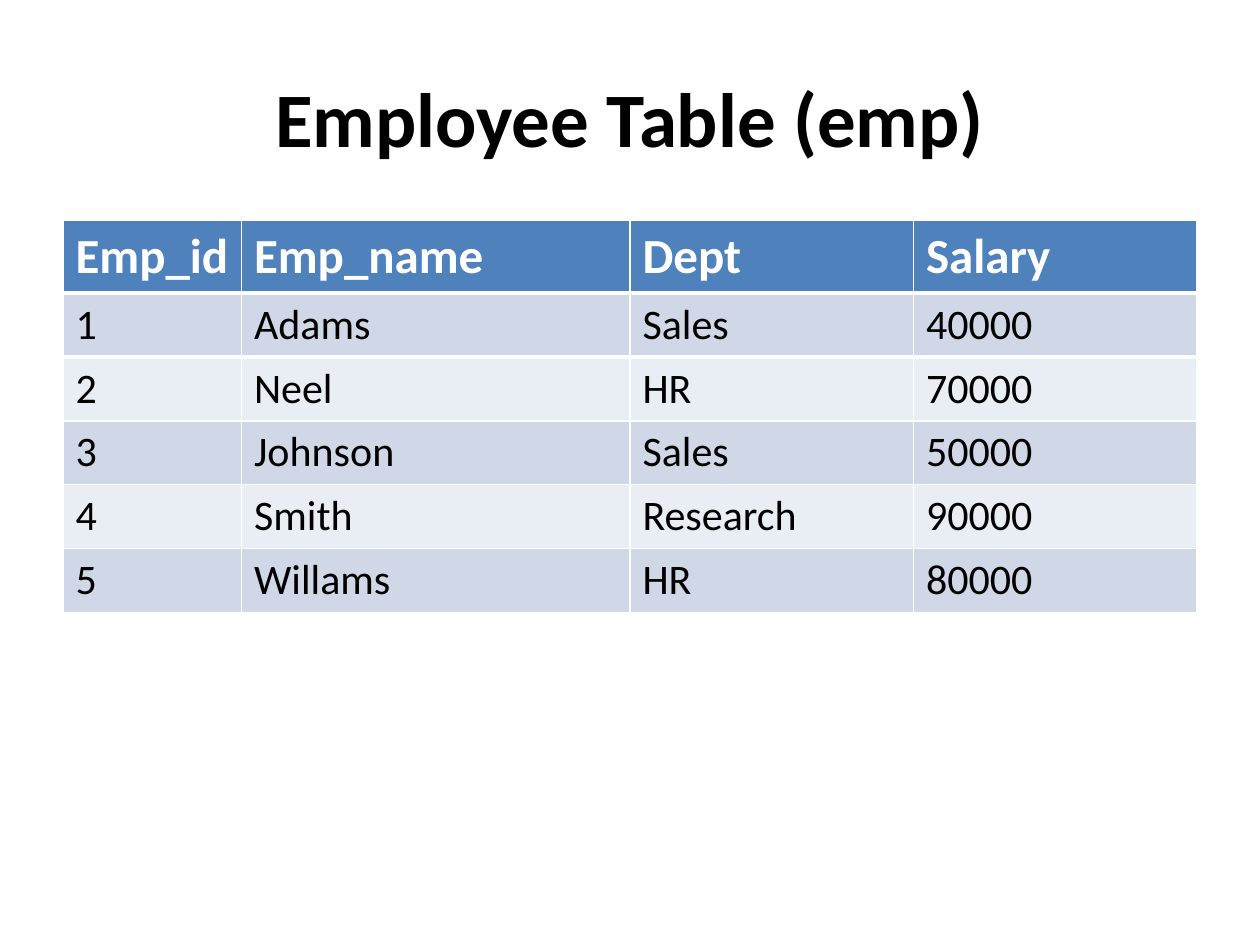
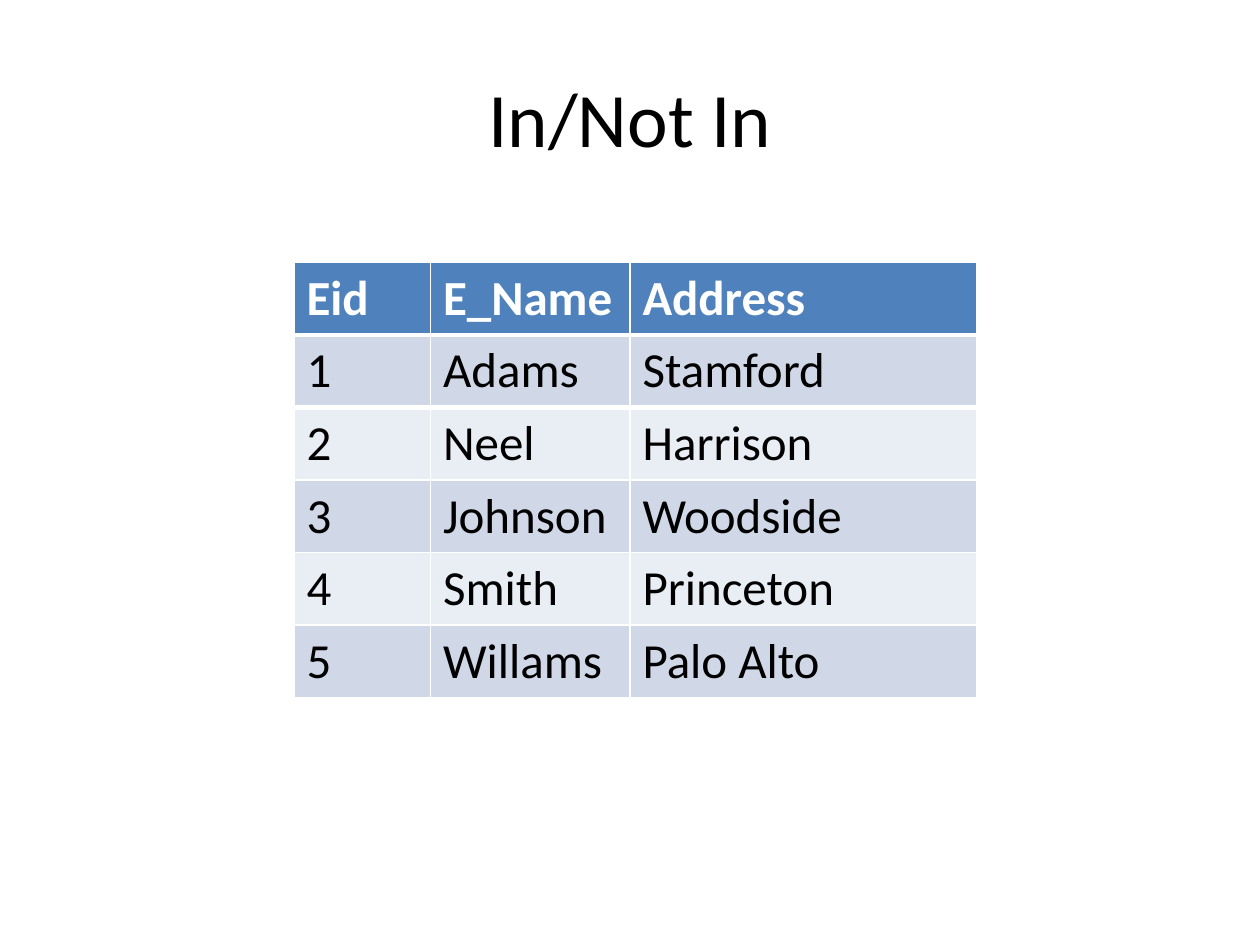
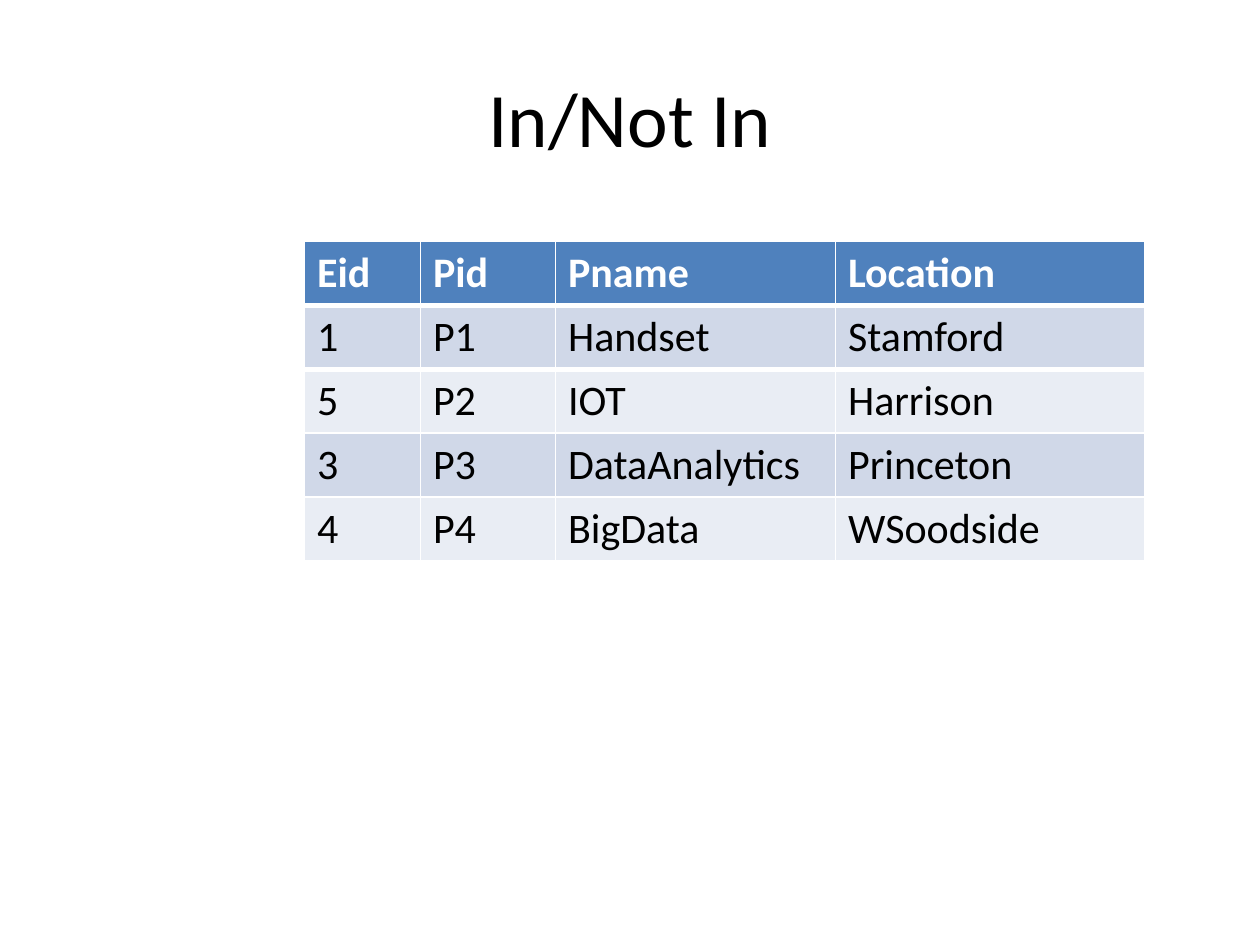
from dataclasses import dataclass

from lxml import etree
from pptx import Presentation
from pptx.dml.color import RGBColor
from pptx.enum import text
from pptx.oxml import ns
from pptx.slide import Slide
from pptx.table import _Cell
from pptx.util import Pt

COLOURS = {
    "ink": "000000",
    "header_text": "FFFFFF",
    "rule": "FFFFFF",
    "header": "4F81BD",
    "odd_row": "D0D8E8",
    "even_row": "E9EDF4",
}
FONT = "Calibri"
TITLE_SIZE = 44
HEADER_RULE = Pt(3)
ROW_HEIGHTS = {28: 40.8, 24: 36}  # by text size
TITLE_ONLY_LAYOUT = 5


@dataclass(frozen=True)
class Relation:
    title: str
    left: float
    top: float
    column_widths: list[float]
    header_size: int
    row_size: int
    rows: list[list[str]]
    bold_title: bool = False


RELATIONS = [
    Relation(
        "Employee Table (emp)", 36, 126, [102, 222, 162, 162], 28, 24,
        [
            ["Emp_id", "Emp_name", "Dept", "Salary"],
            ["1", "Adams", "Sales", "40000"],
            ["2", "Neel", "HR", "70000"],
            ["3", "Johnson", "Sales", "50000"],
            ["4", "Smith", "Research", "90000"],
            ["5", "Willams", "HR", "80000"],
        ],
        bold_title=True,
    ),
    Relation(
        "In/Not In", 168, 150, [78, 114, 198], 28, 28,
        [
            ["Eid", "E_Name", "Address"],
            ["1", "Adams", "Stamford"],
            ["2", "Neel", "Harrison"],
            ["3", "Johnson", "Woodside"],
            ["4", "Smith", "Princeton"],
            ["5", "Willams", "Palo Alto"],
        ],
    ),
    Relation(
        "In/Not In", 174, 138, [66.3, 77.2, 160, 176.5], 24, 24,
        [
            ["Eid", "Pid", "Pname", "Location"],
            ["1", "P1", "Handset", "Stamford"],
            ["5", "P2", "IOT", "Harrison"],
            ["3", "P3", "DataAnalytics", "Princeton"],
            ["4", "P4", "BigData", "WSoodside"],
        ],
    ),
]


def rgb(colour: str) -> RGBColor:
    return RGBColor.from_string(COLOURS[colour])


def add_run(paragraph, content: str, size: int, colour: str, bold: bool) -> None:
    run = paragraph.add_run()
    run.text = content
    run.font.name = FONT
    run.font.size = Pt(size)
    run.font.bold = bold
    run.font.color.rgb = rgb(colour)


def add_header_rule(cell: _Cell, edge: str) -> None:
    """Draw the thick header rule on one edge of a cell: a:lnT or a:lnB."""
    properties = cell._tc.get_or_add_tcPr()
    line = etree.Element(ns.qn(edge), w=str(HEADER_RULE))
    fill = etree.SubElement(line, ns.qn("a:solidFill"))
    etree.SubElement(fill, ns.qn("a:srgbClr"), val=COLOURS["rule"])
    properties.insert(0, line)


def add_title(slide: Slide, relation: Relation) -> None:
    title = slide.shapes.title
    title.left, title.top, title.width, title.height = Pt(36), Pt(21.6), Pt(648), Pt(90)
    title.text_frame.vertical_anchor = text.MSO_ANCHOR.MIDDLE
    paragraph = title.text_frame.paragraphs[0]
    paragraph.alignment = text.PP_ALIGN.CENTER
    add_run(paragraph, relation.title, TITLE_SIZE, "ink", relation.bold_title)


def add_relation(slide: Slide, relation: Relation) -> None:
    """Draw the table with a header row and alternating row fills."""
    sizes = [relation.header_size] + [relation.row_size] * (len(relation.rows) - 1)
    heights = [ROW_HEIGHTS[size] for size in sizes]
    table = slide.shapes.add_table(
        len(relation.rows), len(relation.column_widths),
        Pt(relation.left), Pt(relation.top),
        Pt(sum(relation.column_widths)), Pt(sum(heights)),
    ).table
    for column, width in zip(table.columns, relation.column_widths):
        column.width = Pt(width)

    for index, (row, values) in enumerate(zip(table.rows, relation.rows)):
        row.height = Pt(heights[index])
        is_header = index == 0
        band = "header" if is_header else "odd_row" if index % 2 else "even_row"
        for cell, value in zip(row.cells, values):
            cell.fill.solid()
            cell.fill.fore_color.rgb = rgb(band)
            if index < 2:
                add_header_rule(cell, "a:lnB" if is_header else "a:lnT")
            add_run(cell.text_frame.paragraphs[0], value, sizes[index],
                    "header_text" if is_header else "ink", is_header)


def main() -> None:
    deck = Presentation()
    deck.slide_width, deck.slide_height = Pt(720), Pt(540)
    for relation in RELATIONS:
        slide = deck.slides.add_slide(deck.slide_layouts[TITLE_ONLY_LAYOUT])
        add_title(slide, relation)
        add_relation(slide, relation)
    deck.save("out.pptx")


if __name__ == "__main__":
    main()
